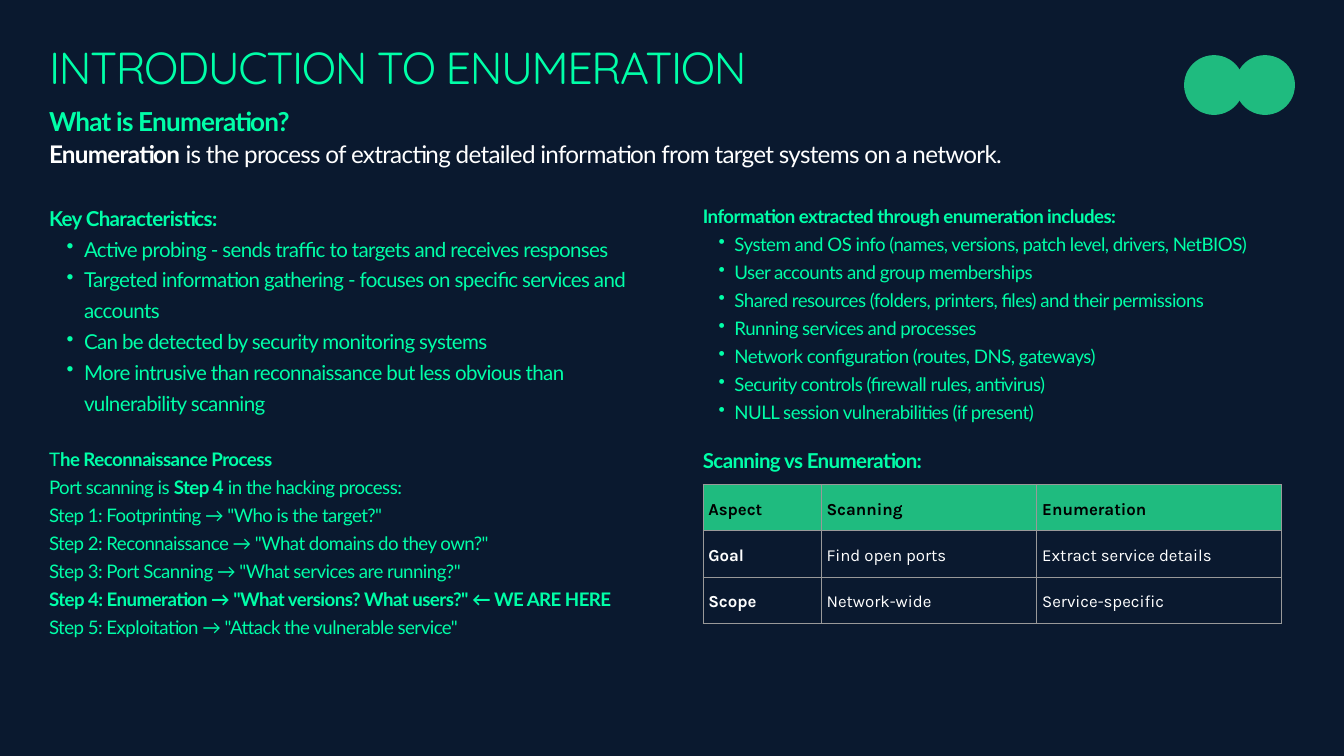
import pptx
import pptx.chart.data
import pptx.dml.color
import pptx.enum.shapes
import pptx.enum.text
import pptx.oxml
import pptx.oxml.ns
import pptx.util
import lxml.etree

Inches = pptx.util.Inches
Pt = pptx.util.Pt

COLORS = {
    "background": "0A192F",
    "mint": "00FFA8",
    "green": "1FBB7F",
    "white": "FFFFFF",
    "black": "000000",
    "border": "999999",
}

LEFT, RIGHT = 0.73, 10.46

CHARACTERISTICS = [
    "Active probing - sends traffic to targets and receives responses",
    "Targeted information gathering - focuses on specific services and accounts",
    "Can be detected by security monitoring systems",
    "More intrusive than reconnaissance but less obvious than vulnerability scanning",
]
EXTRACTED = [
    "System and OS info (names, versions, patch level, drivers, NetBIOS)",
    "User accounts and group memberships",
    "Shared resources (folders, printers, files) and their permissions",
    "Running services and processes",
    "Network configuration (routes, DNS, gateways)",
    "Security controls (firewall rules, antivirus)",
    "NULL session vulnerabilities (if present)",
]
PROCESS = [
    "T**he Reconnaissance Process**",
    "Port scanning is **Step 4** in the hacking process:",
    'Step 1: Footprinting → "Who is the target?"',
    'Step 2: Reconnaissance → "What domains do they own?"',
    'Step 3: Port Scanning → "What services are running?"',
    '**Step 4: Enumeration → "What versions? What users?" ← WE ARE HERE**',
    'Step 5: Exploitation → "Attack the vulnerable service"',
]
COMPARISON = [
    ["Aspect", "Scanning", "Enumeration"],
    ["Goal", "Find open ports", "Extract service details"],
    ["Scope", "Network-wide", "Service-specific"],
]


class SlideBuilder:
    """Draws styled elements on the current slide."""

    def __init__(self, slide):
        self.slide = slide
        slide.background.fill.solid()
        slide.background.fill.fore_color.rgb = self.color("background")

    def color(self, name):
        return pptx.dml.color.RGBColor.from_string(COLORS[name])

    def style(self, paragraph, size, color, font, leading):
        paragraph.line_spacing = Pt(leading)
        paragraph.font.size = Pt(size)
        paragraph.font.name = font
        paragraph.font.color.rgb = self.color(color)

    def bullet(self, paragraph, indent):
        properties = paragraph._p.get_or_add_pPr()
        properties.set("marL", str(Inches(2 * indent)))
        properties.set("indent", str(-Inches(indent)))
        tag = pptx.oxml.ns.qn("a:buChar")
        lxml.etree.SubElement(properties, tag).set("char", "•")

    def text(self, left, top, width, height, lines, size, leading,
             color="mint", font="Lato", indent=None):
        box = self.slide.shapes.add_textbox(
            Inches(left), Inches(top), Inches(width), Inches(height))
        frame = box.text_frame
        frame.word_wrap = True
        frame.auto_size = pptx.enum.text.MSO_AUTO_SIZE.SHAPE_TO_FIT_TEXT
        frame.margin_left = frame.margin_right = 0
        frame.margin_top = frame.margin_bottom = 0
        for index, line in enumerate(lines):
            paragraph = frame.add_paragraph() if index else frame.paragraphs[0]
            if indent and index:
                self.bullet(paragraph, indent)
            self.style(paragraph, size, color, font, leading)
            for part, words in enumerate(line.split("**")):
                if words:
                    run = paragraph.add_run()
                    run.text = words
                    run.font.bold = part % 2 == 1
                    run._r.get_or_add_rPr().set("spc", str(-3 * size))

    def borders(self, cell):
        properties = cell._tc.get_or_add_tcPr()
        namespace = pptx.oxml.ns.nsdecls("a")
        for side in "LRTB":
            properties.append(pptx.oxml.parse_xml(
                f'<a:ln{side} {namespace} w="{Pt(1)}"><a:solidFill>'
                f'<a:srgbClr val="{COLORS["border"]}"/></a:solidFill></a:ln{side}>'))

    def table(self, left, top, widths, row_height, rows):
        table = self.slide.shapes.add_table(
            len(rows), len(widths), Inches(left), Inches(top),
            Inches(sum(widths)), Inches(row_height * len(rows))).table
        for column, width in zip(table.columns, widths):
            column.width = Inches(width)
        for row_index, row in enumerate(rows):
            for column_index, words in enumerate(row):
                cell = table.cell(row_index, column_index)
                header = row_index == 0
                self.borders(cell)
                if header:
                    cell.fill.solid()
                    cell.fill.fore_color.rgb = self.color("green")
                else:
                    cell.fill.background()
                cell.vertical_anchor = pptx.enum.text.MSO_ANCHOR.MIDDLE
                cell.margin_left = cell.margin_right = Inches(0.08)
                cell.margin_top = cell.margin_bottom = Inches(0.08)
                cell.text = words
                paragraph = cell.text_frame.paragraphs[0]
                self.style(paragraph, 18, "black" if header else "white",
                           "Karla", 25.2)
                paragraph.font.bold = header or column_index == 0

    def circle(self, left, top, diameter):
        shape = self.slide.shapes.add_shape(
            pptx.enum.shapes.MSO_SHAPE.OVAL, Inches(left), Inches(top),
            Inches(diameter), Inches(diameter))
        shape.shadow.inherit = False
        shape.fill.solid()
        shape.fill.fore_color.rgb = self.color("green")
        shape.line.fill.background()


def main():
    presentation = pptx.Presentation()
    presentation.slide_width = Inches(20)
    presentation.slide_height = Inches(11.25)
    builder = SlideBuilder(
        presentation.slides.add_slide(presentation.slide_layouts[6]))

    builder.text(LEFT, 0.72, 18.34, 0.81, ["INTRODUCTION TO ENUMERATION"],
                 48, 48, font="Quicksand")
    builder.text(LEFT, 1.45, 9.08, 0.54, ["**What is Enumeration?**"], 28, 42)
    builder.text(LEFT, 2.07, 18.54, 0.43,
                 ["**Enumeration** is the process of extracting detailed "
                  "information from target systems on a network."],
                 26, 31.2, color="white")
    builder.text(LEFT, 2.97, 9.19, 3.19,
                 ["**Key Characteristics:**", *CHARACTERISTICS],
                 22, 33, indent=0.26)
    builder.text(LEFT, 6.58, 11.63, 2.91, PROCESS, 20, 30)
    builder.text(RIGHT, 2.97, 8.61, 3.32,
                 ["**Information extracted through enumeration includes:**",
                  *EXTRACTED], 20, 30, indent=0.235)
    builder.text(RIGHT, 6.58, 8.61, 0.44, ["**Scanning vs Enumeration:**"], 22, 33)
    builder.table(RIGHT, 7.21, [1.76, 3.21, 3.64], 0.69, COMPARISON)
    for left in (17.62, 18.38):
        builder.circle(left, 0.82, 0.89)

    presentation.save("out.pptx")


if __name__ == "__main__":
    main()
